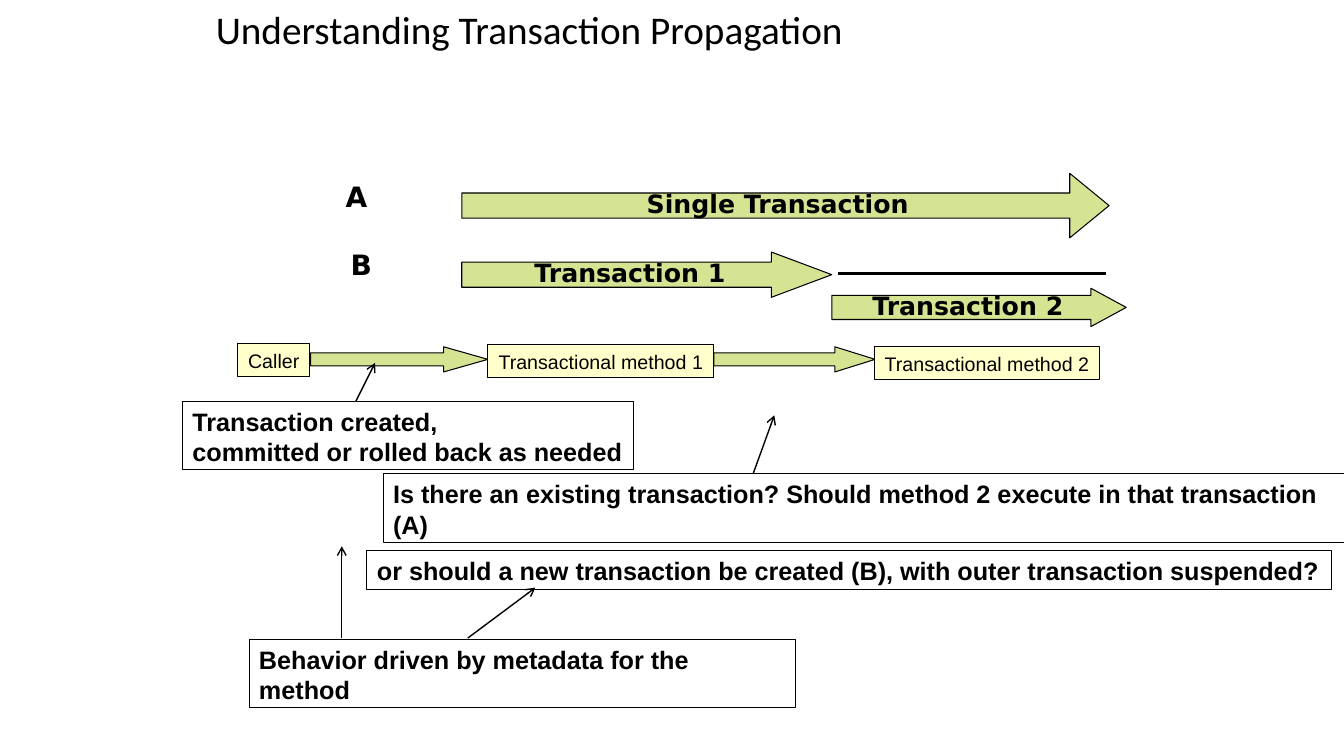
from dataclasses import dataclass

from lxml import etree
from pptx import Presentation
from pptx import util as u
from pptx.dml.color import RGBColor
from pptx.enum import shapes, text
from pptx.oxml import ns

BLACK, GREEN, CREAM = "000000", "D5E493", "FFFFCC"
BODY_FONT, ARROW_FONT = "Arial", "DejaVu Sans"
LEFT, CENTER = text.PP_ALIGN.LEFT, text.PP_ALIGN.CENTER


@dataclass
class Box:
    label: str
    left: float
    top: float
    width: float
    height: float


@dataclass
class BlockArrow(Box):
    shaft: float
    head: float


@dataclass
class Line:
    x1: float
    y1: float
    x2: float
    y2: float
    width: float = 1
    arrow: bool = True


BLOCK_ARROWS = [
    BlockArrow("", 3.08, 3.44, 1.76, 0.25, 0.13, 0.44),
    BlockArrow("", 7.08, 3.44, 1.6, 0.25, 0.13, 0.4),
    BlockArrow("Single Transaction", 4.58, 1.72, 6.42, 0.64, 0.25, 0.39),
    BlockArrow("Transaction 1", 4.58, 2.5, 3.67, 0.45, 0.25, 0.6),
    BlockArrow("Transaction 2", 8.25, 2.86, 2.92, 0.38, 0.24, 0.35),
]
STEPS = [
    Box("Caller", 2.36, 3.41, 0.71, 0.33),
    Box("Transactional method 1", 4.84, 3.42, 2.24, 0.33),
    Box("Transactional method 2", 8.67, 3.44, 2.24, 0.33),
]
NOTES = [
    Box("Transaction created,\ncommitted or rolled back as needed", 1.81, 3.98, 4.47, 0.68),
    Box("Is there an existing transaction? Should method 2 execute in that transaction (A)",
        3.8, 4.7, 9.78, 0.68),
    Box("Behavior driven by metadata for the method", 2.47, 6.34, 5.42, 0.68),
    Box("or should a new transaction be created (B), with outer transaction suspended?",
        3.64, 5.46, 9.57, 0.39),
]
CASES = [Box("A", 3.33, 1.77, 0.41, 0.41), Box("B", 3.38, 2.44, 0.41, 0.41)]
LINES = [
    Line(3.53, 3.98, 3.72, 3.6),
    Line(7.47, 4.7, 7.68, 4.12),
    Line(3.39, 6.33, 3.39, 5.42),
    Line(4.64, 6.33, 5.31, 5.83),
    Line(8.31, 2.71, 10.97, 2.71, width=0, arrow=False),
]


def rgb(value: str) -> RGBColor:
    return RGBColor.from_string(value)


def place(sp, box: Box) -> None:
    sp.left, sp.top = u.Inches(box.left), u.Inches(box.top)
    sp.width, sp.height = u.Inches(box.width), u.Inches(box.height)


def write(sp, label: str, font: str, size: int, bold: bool = False, align=LEFT,
          anchor=text.MSO_ANCHOR.TOP, wrap: bool = True, spacing: float = 1.0) -> None:
    tf = sp.text_frame
    tf.text = label
    tf.word_wrap = wrap
    tf.vertical_anchor = anchor
    for p in tf.paragraphs:
        p.alignment = align
        p.line_spacing = spacing
        for r in p.runs:
            r.font.name, r.font.size, r.font.bold = font, u.Pt(size), bold
            r.font.color.rgb = rgb(BLACK)


def add_outlined(s, kind, box: Box, fill: str = ""):
    sp = s.shapes.add_shape(kind, 0, 0, 0, 0)
    place(sp, box)
    sp.shadow.inherit = False
    if fill:
        sp.fill.solid()
        sp.fill.fore_color.rgb = rgb(fill)
    else:
        sp.fill.background()
    sp.line.color.rgb = rgb(BLACK)
    sp.line.width = u.Pt(0.75)
    return sp


def add_block_arrow(s, arrow: BlockArrow) -> None:
    sp = add_outlined(s, shapes.MSO_SHAPE.RIGHT_ARROW, arrow, GREEN)
    sp.adjustments[0] = arrow.shaft / arrow.height
    sp.adjustments[1] = arrow.head / arrow.height
    if arrow.label:
        write(sp, arrow.label, ARROW_FONT, 18, True, CENTER,
              text.MSO_ANCHOR.MIDDLE, wrap=False, spacing=0.9)


def add_step(s, box: Box) -> None:
    sp = add_outlined(s, shapes.MSO_SHAPE.RECTANGLE, box, CREAM)
    write(sp, box.label, BODY_FONT, 14, align=CENTER, wrap=False)


def add_note(s, box: Box) -> None:
    sp = add_outlined(s, shapes.MSO_SHAPE.RECTANGLE, box)
    write(sp, box.label, BODY_FONT, 18, True)


def add_case(s, box: Box) -> None:
    sp = s.shapes.add_textbox(0, 0, 0, 0)
    place(sp, box)
    write(sp, box.label, ARROW_FONT, 20, True, spacing=0.9)


def add_line(s, line: Line) -> None:
    ends = [u.Inches(v) for v in (line.x1, line.y1, line.x2, line.y2)]
    sp = s.shapes.add_connector(shapes.MSO_CONNECTOR.STRAIGHT, *ends)
    sp.line.color.rgb = rgb(BLACK)
    sp.line.width = u.Pt(line.width)
    if line.arrow:
        ln = sp.line._get_or_add_ln()
        etree.SubElement(ln, ns.qn("a:tailEnd"), type="arrow")
    etree.SubElement(sp._element.spPr, ns.qn("a:effectLst"))


def main() -> None:
    prs = Presentation()
    prs.slide_width, prs.slide_height = u.Inches(13.33), u.Inches(7.5)
    s = prs.slides.add_slide(prs.slide_layouts[5])
    title = Box("Understanding Transaction Propagation", 2.04, 0.05, 6.88, 0.53)
    place(s.shapes.title, title)
    write(s.shapes.title, title.label, "Calibri", 28,
          anchor=text.MSO_ANCHOR.MIDDLE, spacing=0.9)
    for items, draw in ((BLOCK_ARROWS, add_block_arrow), (STEPS, add_step),
                        (NOTES, add_note), (CASES, add_case), (LINES, add_line)):
        for item in items:
            draw(s, item)
    prs.save("out.pptx")


if __name__ == "__main__":
    main()
